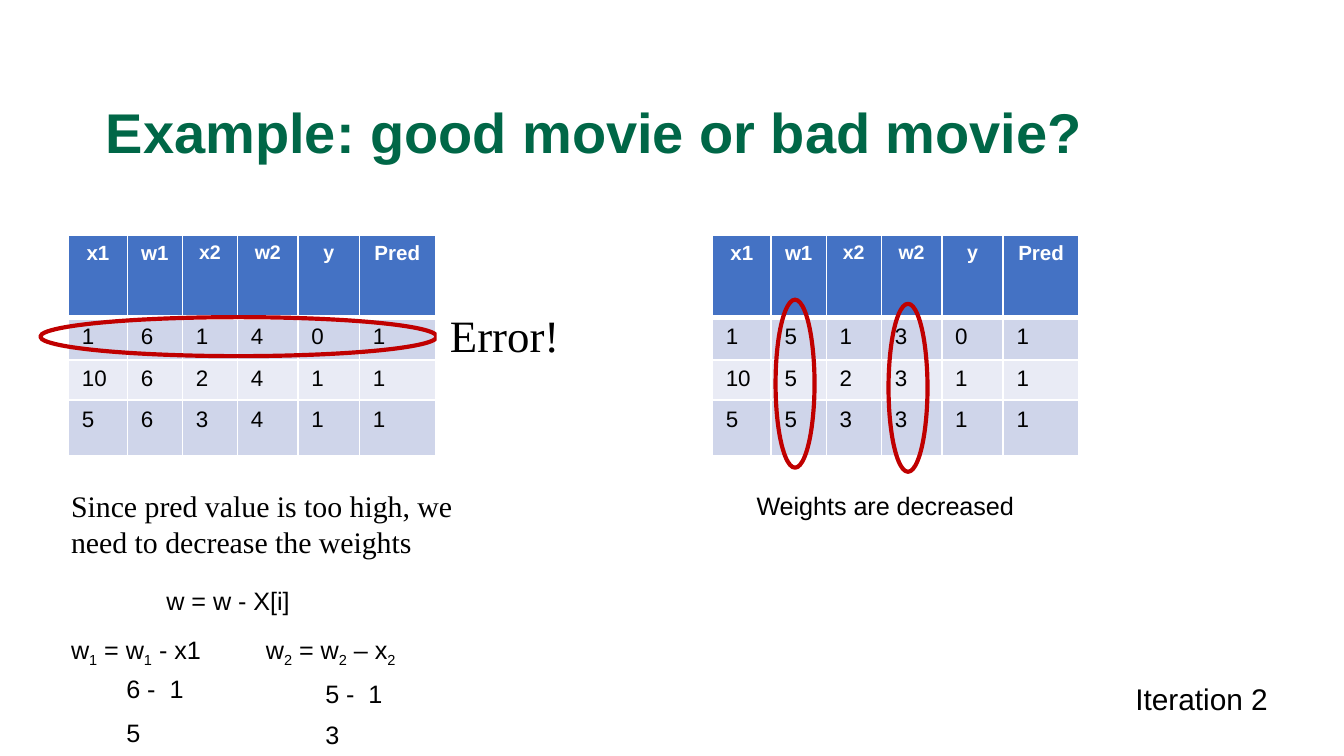
from dataclasses import dataclass

from lxml import etree
from pptx import Presentation
from pptx.dml.color import RGBColor
from pptx.enum.shapes import MSO_SHAPE
from pptx.enum.text import MSO_ANCHOR, MSO_AUTO_SIZE, PP_ALIGN
from pptx.oxml.ns import qn
from pptx.util import Pt


@dataclass(frozen=True)
class Theme:
    sans: str = "Arial"
    serif: str = "Times New Roman"
    green: str = "006747"
    blue: str = "4472C4"
    bands: tuple = ("CFD5EA", "E9EBF5")
    red: str = "C00000"
    black: str = "000000"
    white: str = "FFFFFF"
    title: float = 30
    callout: float = 24
    note: float = 16
    cell: float = 12
    formula: float = 13.5


THEME = Theme()

TITLE = "Example: good movie or bad movie?"
HEADERS = [("x1", 11), ("w1", 11), ("x2", 10.5), ("w2", 10.5), ("y", 10.5), ("Pred", 11)]
SAMPLES = [(1, 1, 0, 1), (10, 2, 1, 1), (5, 3, 1, 1)]  # x1, x2, y, Pred
WEIGHTS = [(36.7, 6, 4), (381.6, 5, 3)]  # table left, w1, w2
COLUMN_WIDTHS = [31.6, 29.5, 29.5, 32.4, 32.9, 40.7]
ROW_HEIGHTS = [44.3, 22.5, 20.5, 30]
TABLE_TOP = 126

# left, top, width, height, rotation
RINGS = [
    (21.6, 169.9, 212.4, 20.9, 0),
    (380.9, 195.1, 90, 20.9, 90),
    (441.4, 197.3, 90, 20.9, 90),
]
# text, left, top, width, height, size
PANELS = [
    ("Since pred value is too high, we need to decrease the weights",
     31, 257.8, 221, 38.2, THEME.note),
    ("Error!", 234, 161.3, 76.3, 38.2, THEME.callout),
]
# text ("_" lowers the next character), left, top, width, size
LABELS = [
    ("w = w - X[i]", 82.1, 310.3, 81.4, THEME.formula),
    ("w_1 = w_1 - x1", 31, 336.2, 86.4, THEME.formula),
    ("6 -  1", 60.6, 357.1, 46, THEME.formula),
    ("5", 60.6, 380.9, 22, THEME.formula),
    ("w_2 = w_2 – x_2", 135.4, 336.2, 89.3, THEME.formula),
    ("5 -  1", 167.2, 360, 46, THEME.formula),
    ("3", 167.2, 381.6, 22, THEME.formula),
    ("Iteration 2", 601.2, 361.4, 86.4, THEME.note),
    ("Weights are decreased", 398.2, 259.2, 154.1, THEME.formula),
]


def rgb(value):
    return RGBColor.from_string(value)


def style(paragraph, size, color=THEME.black, face=THEME.sans, bold=False):
    font = paragraph.font
    font.name, font.size, font.bold = face, Pt(size), bold
    font.color.rgb = rgb(color)


def add_borders(cell, row):
    """Draw white cell edges, with a thick rule under the header row."""
    properties = cell._tc.get_or_add_tcPr()
    widths = {"L": 1, "R": 1, "T": 3 if row == 1 else 1, "B": 3 if row == 0 else 1}
    for index, (side, width) in enumerate(widths.items()):
        line = etree.Element(qn(f"a:ln{side}"), w=str(Pt(width)))
        fill = etree.SubElement(line, qn("a:solidFill"))
        etree.SubElement(fill, qn("a:srgbClr"), val=THEME.white)
        properties.insert(index, line)


def add_weight_table(slide, left, w1, w2):
    rows = [[name for name, _ in HEADERS]]
    rows += [[x1, w1, x2, w2, y, pred] for x1, x2, y, pred in SAMPLES]
    table = slide.shapes.add_table(
        len(rows), len(HEADERS), Pt(left), Pt(TABLE_TOP),
        Pt(sum(COLUMN_WIDTHS)), Pt(sum(ROW_HEIGHTS))).table
    for column, width in zip(table.columns, COLUMN_WIDTHS):
        column.width = Pt(width)
    for r, values in enumerate(rows):
        table.rows[r].height = Pt(ROW_HEIGHTS[r])
        for c, value in enumerate(values):
            cell = table.cell(r, c)
            cell.text = str(value)
            paragraph = cell.text_frame.paragraphs[0]
            cell.fill.solid()
            if r == 0:
                cell.fill.fore_color.rgb = rgb(THEME.blue)
                paragraph.alignment = PP_ALIGN.CENTER
                style(paragraph, HEADERS[c][1], THEME.white, bold=True)
            else:
                cell.fill.fore_color.rgb = rgb(THEME.bands[(r - 1) % 2])
                style(paragraph, THEME.cell)
            add_borders(cell, r)


def add_ring(slide, left, top, width, height, rotation):
    ring = slide.shapes.add_shape(
        MSO_SHAPE.OVAL, Pt(left), Pt(top), Pt(width), Pt(height))
    ring.rotation = rotation
    ring.shadow.inherit = False
    ring.fill.background()
    ring.line.color.rgb = rgb(THEME.red)
    ring.line.width = Pt(2.25)


def add_panel(slide, text, left, top, width, height, size):
    panel = slide.shapes.add_shape(
        MSO_SHAPE.RECTANGLE, Pt(left), Pt(top), Pt(width), Pt(height))
    panel.shadow.inherit = False
    panel.fill.solid()
    panel.fill.fore_color.rgb = rgb(THEME.white)
    panel.line.fill.background()
    frame = panel.text_frame
    frame.word_wrap = True
    frame.vertical_anchor = MSO_ANCHOR.TOP
    frame.text = text
    frame.paragraphs[0].alignment = PP_ALIGN.LEFT
    style(frame.paragraphs[0], size, face=THEME.serif)


def add_label(slide, text, left, top, width, size):
    height = 26.6 if size == THEME.note else 23.8
    frame = slide.shapes.add_textbox(Pt(left), Pt(top), Pt(width), Pt(height)).text_frame
    frame.word_wrap = False
    frame.auto_size = MSO_AUTO_SIZE.SHAPE_TO_FIT_TEXT
    paragraph = frame.paragraphs[0]
    style(paragraph, size)
    start, *lowered = text.split("_")
    paragraph.add_run().text = start
    for part in lowered:
        subscript = paragraph.add_run()
        subscript.text = part[0]
        subscript.font._element.set("baseline", "-25000")
        if part[1:]:
            paragraph.add_run().text = part[1:]


def add_title(slide):
    frame = slide.shapes.add_textbox(Pt(49.7), Pt(45.4), Pt(620.6), Pt(54.7)).text_frame
    frame.word_wrap = True
    frame.vertical_anchor = MSO_ANCHOR.MIDDLE
    frame.text = TITLE
    frame.paragraphs[0].line_spacing = 0.9
    style(frame.paragraphs[0], THEME.title, THEME.green, bold=True)


def main():
    deck = Presentation()
    deck.slide_width, deck.slide_height = Pt(720), Pt(405)
    slide = deck.slides.add_slide(deck.slide_layouts[6])
    add_title(slide)
    for weights in WEIGHTS:
        add_weight_table(slide, *weights)
    for ring in RINGS:
        add_ring(slide, *ring)
    for panel in PANELS:
        add_panel(slide, *panel)
    for label in LABELS:
        add_label(slide, *label)
    deck.save("out.pptx")


if __name__ == "__main__":
    main()
